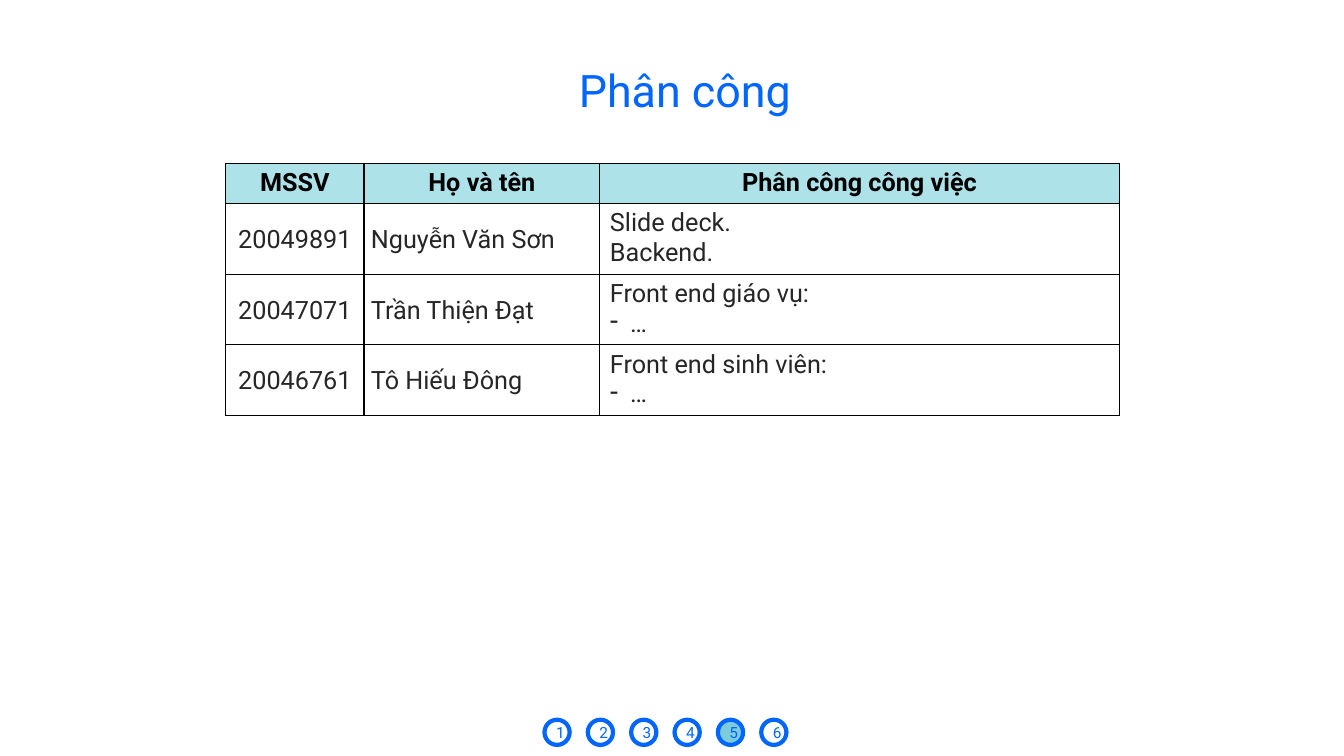
from dataclasses import dataclass

from lxml.etree import SubElement
from pptx import Presentation
from pptx.dml.color import RGBColor
from pptx.enum.shapes import MSO_SHAPE
from pptx.enum.text import MSO_ANCHOR, MSO_AUTO_SIZE, PP_ALIGN
from pptx.oxml.ns import qn
from pptx.util import Emu, Pt


@dataclass(frozen=True)
class Theme:
    font: str = "Roboto"
    accent: str = "0166FF"
    current_page: str = "7DCCDB"
    header_fill: str = "ADE2E9"
    header_text: str = "000000"
    body_text: str = "262626"
    border: str = "000000"
    title_size: int = 32
    table_size: int = 18
    page_size: int = 11


def px(length):
    """Convert px, at 100 to the inch, into EMU."""
    return Emu(length * 9144)


def paint(fill, color):
    if color is None:
        fill.background()
    else:
        fill.solid()
        fill.fore_color.rgb = RGBColor.from_string(color)


class SlideBuilder:
    def __init__(self, page, theme):
        self.page = page
        self.theme = theme

    def style(self, para, size, color, align=PP_ALIGN.LEFT, bold=False):
        para.alignment = align
        font = para.font
        font.name, font.size, font.bold = self.theme.font, Pt(size), bold
        font.color.rgb = RGBColor.from_string(color)

    def title(self, text, left, top, width, height):
        box = self.page.shapes.title
        box.left, box.top, box.width, box.height = map(px, (left, top, width, height))
        frame = box.text_frame
        frame.text = text
        frame.auto_size = MSO_AUTO_SIZE.NONE
        frame.vertical_anchor = MSO_ANCHOR.TOP
        self.style(frame.paragraphs[0], self.theme.title_size, self.theme.accent)

    def page_circle(self, number, left, top, size, fill):
        circle = self.page.shapes.add_shape(
            MSO_SHAPE.OVAL, px(left), px(top), px(size), px(size))
        circle.shadow.inherit = False
        paint(circle.fill, fill)
        paint(circle.line.fill, self.theme.accent)
        circle.line.width = Pt(3)
        frame = circle.text_frame
        frame.text = str(number)
        frame.vertical_anchor = MSO_ANCHOR.MIDDLE
        self.style(frame.paragraphs[0], self.theme.page_size, self.theme.accent,
                   PP_ALIGN.CENTER)

    def border(self, cell):
        properties = cell._tc.get_or_add_tcPr()
        for side in ("a:lnL", "a:lnR", "a:lnT", "a:lnB"):
            line = SubElement(properties, qn(side), w=str(Pt(1)))
            fill = SubElement(line, qn("a:solidFill"))
            SubElement(fill, qn("a:srgbClr"), val=self.theme.border)

    def dash_bullet(self, para):
        properties = para._p.get_or_add_pPr()
        properties.set("marL", str(px(20)))
        properties.set("indent", str(px(-20)))
        SubElement(properties, qn("a:buChar"), char="-")

    def header_cell(self, cell, text):
        paint(cell.fill, self.theme.header_fill)
        cell.text = text
        self.style(cell.text_frame.paragraphs[0], self.theme.table_size,
                   self.theme.header_text, PP_ALIGN.CENTER, bold=True)

    def person_cell(self, cell, text, align):
        paint(cell.fill, None)
        cell.text = text
        cell.vertical_anchor = MSO_ANCHOR.MIDDLE
        cell.margin_left = cell.margin_right = px(7)
        cell.margin_top = cell.margin_bottom = 0
        para = cell.text_frame.paragraphs[0]
        para.line_spacing = 1.07
        self.style(para, self.theme.table_size, self.theme.body_text, align)

    def duty_cell(self, cell, lines, bulleted):
        paint(cell.fill, None)
        cell.text = "\n".join(lines)
        for index, para in enumerate(cell.text_frame.paragraphs):
            if bulleted and index > 0:
                self.dash_bullet(para)
            self.style(para, self.theme.table_size, self.theme.body_text)

    def duty_table(self, left, top, widths, heights, headers, members):
        table = self.page.shapes.add_table(
            len(heights), len(widths), px(left), px(top),
            px(sum(widths)), px(sum(heights))).table
        table.first_row = table.horz_banding = False
        for column, width in zip(table.columns, widths):
            column.width = px(width)
        for row, height in zip(table.rows, heights):
            row.height = px(height)
        for cell in table.iter_cells():
            self.border(cell)
        for column, text in enumerate(headers):
            self.header_cell(table.cell(0, column), text)
        for row, (code, name, duties, bulleted) in enumerate(members, 1):
            self.person_cell(table.cell(row, 0), code, PP_ALIGN.CENTER)
            self.person_cell(table.cell(row, 1), name, PP_ALIGN.LEFT)
            self.duty_cell(table.cell(row, 2), duties, bulleted)


HEADERS = ("MSSV", "Họ và tên", "Phân công công việc")
MEMBERS = (
    ("20049891", "Nguyễn Văn Sơn", ("Slide deck.", "Backend."), False),
    ("20047071", "Trần Thiện Đạt", ("Front end giáo vụ:", "…"), True),
    ("20046761", "Tô Hiếu Đông", ("Front end sinh viên:", "…"), True),
)
PAGE_COUNT = 6
CURRENT_PAGE = 5


def main():
    deck = Presentation()
    deck.slide_width, deck.slide_height = px(1333), px(750)
    title_only = deck.slide_layouts[5]
    theme = Theme()
    builder = SlideBuilder(deck.slides.add_slide(title_only), theme)

    for number in range(1, PAGE_COUNT + 1):
        fill = theme.current_page if number == CURRENT_PAGE else None
        builder.page_circle(number, 540 + 43 * (number - 1), 714, 25, fill)
    builder.title("Phân công", 564, 57, 235, 64)
    builder.duty_table(224, 162, (137, 234, 515), (40, 70, 70, 70), HEADERS, MEMBERS)

    deck.save("out.pptx")


if __name__ == "__main__":
    main()
